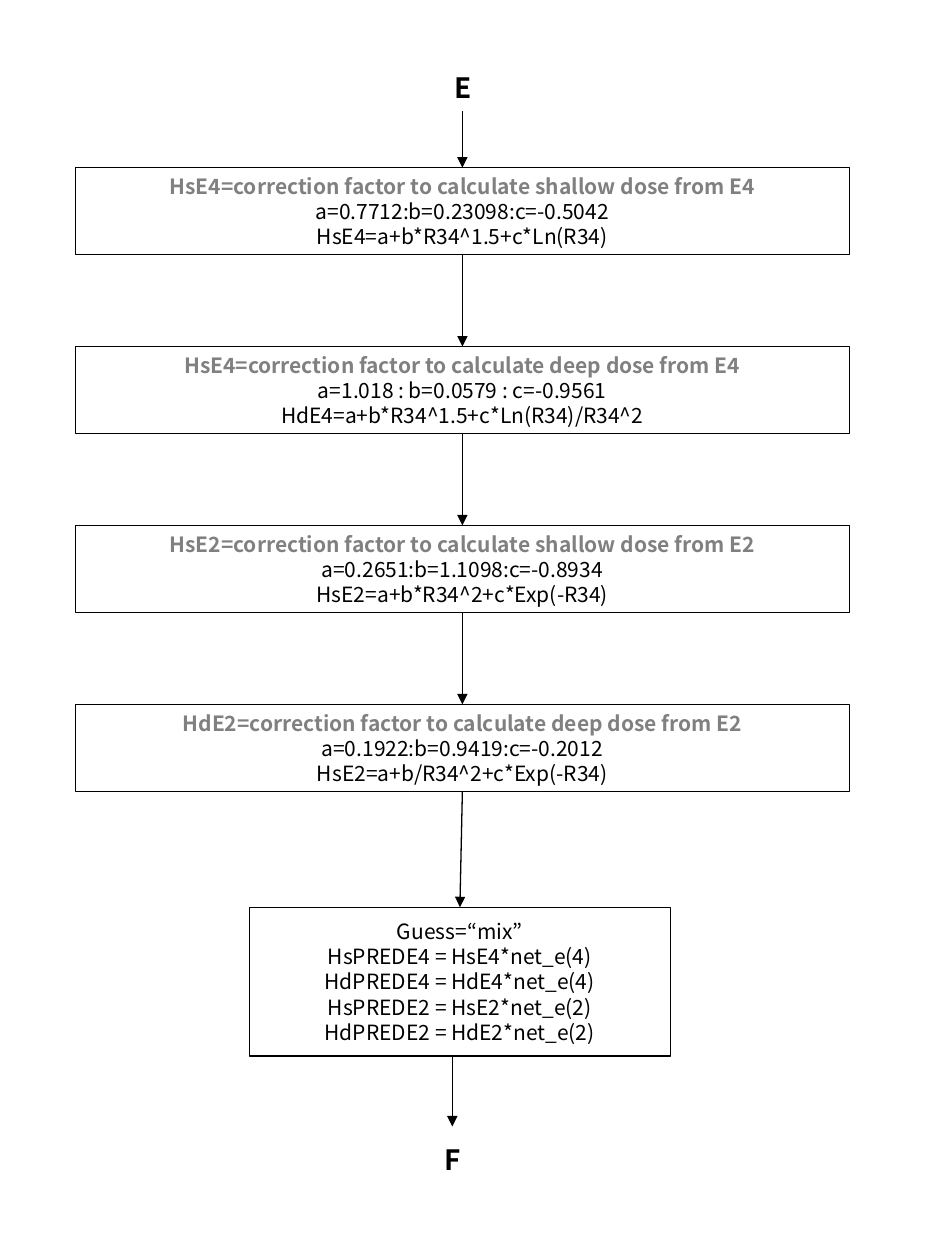
from lxml import etree
from pptx import Presentation
from pptx import util as u
from pptx.dml.color import RGBColor
from pptx.enum import shapes, text
from pptx.oxml.ns import qn

INK = {"black": "000000", "grey": "808080"}
FONT = "Noto Sans CJK KR"
TOP, STEP = 1.33, 1.42

PLAIN = {"size": u.Pt(12), "bold": False, "name": FONT}
HEAD = {**PLAIN, "bold": True}
MARK = {**HEAD, "size": u.Pt(16)}
FRAME = {"margin_left": u.Inches(0.1), "margin_right": u.Inches(0.1),
         "margin_top": u.Inches(0.05), "margin_bottom": u.Inches(0.05)}

FACTORS = [
    ("HsE4=correction factor to calculate shallow dose from E4",
     "a=0.7712:b=0.23098:c=-0.5042",
     "HsE4=a+b*R34^1.5+c*Ln(R34)"),
    ("HsE4=correction factor to calculate deep dose from E4",
     "a=1.018 : b=0.0579 : c=-0.9561",
     "HdE4=a+b*R34^1.5+c*Ln(R34)/R34^2"),
    ("HsE2=correction factor to calculate shallow dose from E2",
     "a=0.2651:b=1.1098:c=-0.8934",
     "HsE2=a+b*R34^2+c*Exp(-R34)"),
    ("HdE2=correction factor to calculate deep dose from E2",
     "a=0.1922:b=0.9419:c=-0.2012",
     "HsE2=a+b/R34^2+c*Exp(-R34)"),
]
GUESS = ["Guess=“mix”", "HsPREDE4 = HsE4*net_e(4)", "HdPREDE4 = HdE4*net_e(4)",
         "HsPREDE2 = HsE2*net_e(2)", "HdPREDE2 = HdE2*net_e(2)"]


def shade(name):
    return RGBColor.from_string(INK[name])


def style(thing, form):
    for key, val in form.items():
        setattr(thing, key, val)


def write(frame, rows):
    """Fill a text frame with (words, format, colour) rows."""
    style(frame, FRAME)
    for i, (words, form, ink) in enumerate(rows):
        para = frame.add_paragraph() if i else frame.paragraphs[0]
        style(para, {"alignment": text.PP_ALIGN.CENTER,
                     "line_spacing": int(form["size"] * 1.2) and u.Pt(form["size"].pt * 1.2)})
        run = para.add_run()
        run.text = words
        style(run.font, form)
        run.font.color.rgb = shade(ink)


def add_box(slide, area, rows):
    box = slide.shapes.add_shape(shapes.MSO_SHAPE.FLOWCHART_PROCESS,
                                 *map(u.Inches, area))
    box.shadow.inherit = False
    box.fill.background()
    box.line.color.rgb = shade("black")
    box.line.width = u.Pt(0.75)
    write(box.text_frame, rows)
    style(box.text_frame, {"word_wrap": False,
                           "vertical_anchor": text.MSO_ANCHOR.MIDDLE})
    return box


def add_mark(slide, area, words):
    """Add the letter of an off-page link."""
    label = slide.shapes.add_textbox(*map(u.Inches, area))
    write(label.text_frame, [(words, MARK, "black")])
    style(label.text_frame, {"word_wrap": True,
                             "auto_size": text.MSO_AUTO_SIZE.SHAPE_TO_FIT_TEXT})
    label.text_frame.paragraphs[0].space_before = u.Pt(10)


def add_arrow(slide, ends=(0, 0, 0, 0), start=None, stop=None):
    """Draw an arrow between points, or from box bottom to box top."""
    line = slide.shapes.add_connector(shapes.MSO_CONNECTOR.STRAIGHT,
                                      *map(u.Inches, ends))
    if start:
        line.begin_connect(start, 2)
    if stop:
        line.end_connect(stop, 0)
    line.line.color.rgb = shade("black")
    line.line.width = u.Pt(0.75)
    props = line.line._get_or_add_ln()
    etree.SubElement(props, qn("a:tailEnd"), type="triangle")
    etree.SubElement(props.getparent(), qn("a:effectLst"))


def main():
    deck = Presentation()
    style(deck, {"slide_width": u.Inches(7.5), "slide_height": u.Inches(10)})
    slide = deck.slides.add_slide(deck.slide_layouts[6])

    boxes = []
    for i, (head, *body) in enumerate(FACTORS):
        rows = [(head, HEAD, "grey")] + [(row, PLAIN, "black") for row in body]
        boxes.append(add_box(slide, (0.6, TOP + i * STEP, 6.14, 0.69), rows))
    boxes.append(add_box(slide, (1.98, 7.2, 3.34, 1.18),
                         [(row, PLAIN, "black") for row in GUESS]))

    add_mark(slide, (3.2, 0.51, 0.95, 0.37), "E")
    add_mark(slide, (3.23, 9.02, 0.72, 0.37), "F")

    add_arrow(slide, (3.67, 0.88, 3.67, TOP), stop=boxes[0])
    for start, stop in zip(boxes, boxes[1:]):
        add_arrow(slide, start=start, stop=stop)
    add_arrow(slide, (3.59, 8.38, 3.59, 8.94))

    deck.save("out.pptx")


if __name__ == "__main__":
    main()
